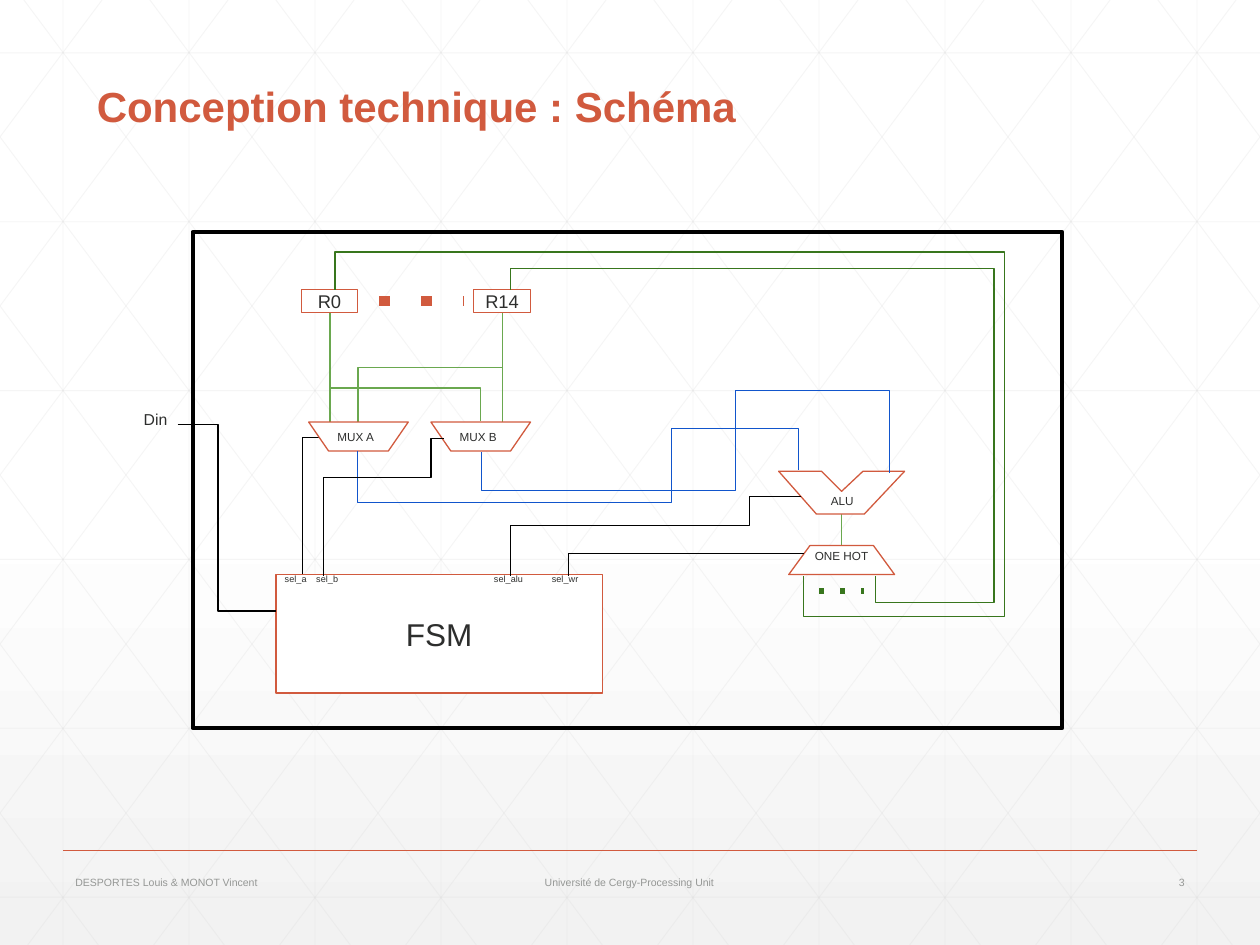
"""Build the processor schematic slide."""
from lxml import etree
from pptx import Presentation
from pptx import util as u
from pptx.dml.color import RGBColor
from pptx.enum import shapes, text
from pptx.oxml.ns import qn

RED, INK, GREY, BLACK, WHITE = "D15A3E", "2D2E2D", "959795", "000000", "FFFFFF"
LEAF, FOREST, BLUE, MESH = "6AA84F", "38761D", "1155CC", "D9D9D9"
SANS = "Arial"


def paint(fill, colour):
    fill.solid()
    fill.fore_color.rgb = RGBColor.from_string(colour)


def inches(*values):
    return [u.Cm(2.54 * value) for value in values]


deck = Presentation()
deck.slide_width, deck.slide_height = inches(10, 7.5)
slide = deck.slides.add_slide(deck.slide_layouts[6])
parts = slide.shapes

backdrop = slide.background.fill
backdrop.gradient()
backdrop.gradient_angle = 270
for stop, (position, colour) in zip(backdrop.gradient_stops, [(0.53, WHITE), (1, "F2F2F2")]):
    stop.position = position
    stop.color.rgb = RGBColor.from_string(colour)

mesh = [(i + 0.5, 0, i + 0.5, 7.5) for i in range(10)]
mesh += [(0, 0.42 + 1.34 * i, 10, 0.42 + 1.34 * i) for i in range(6)]
run, slope = 5.59, 7.5 / 5.59
for i in range(-5, 10):
    top = i + 0.19
    left, right = max(top, 0), min(top + run, 10)
    high, low = (left - top) * slope, (right - top) * slope
    mesh += [(left, high, right, low), (10 - left, high, 10 - right, low)]

links = [(ends, MESH, 0.5, {"alpha": 25}) for ends in mesh]
links += [
    ((0.5, 6.75, 9.5, 6.75), RED, 1, {}),
    ((2.62, 2.48, 2.62, 3.35), LEAF, 0.75, {}),
    ((3.99, 2.48, 3.99, 3.35), LEAF, 0.75, {}),
    ((6.68, 4.33, 6.68, 4.08), LEAF, 0.75, {}),
    ((2.98, 2.34, 3.85, 3.49), LEAF, 0.75, {"bend": "bentConnector3", "turn": 90, "adj": 50000}),
    ((3.65, 2.31, 2.78, 3.51), LEAF, 0.75, {"bend": "bentConnector3", "turn": 270, "adj": 69400}),
    ((2.53, 3.47, 2.4, 4.57), BLACK, 0.75, {"bend": "bentConnector2", "turn": 0}),
    ((3.01, 2.39, 3.68, 2.39), RED, 6, {"dash": "dot"}),
    ((6.5, 4.69, 6.86, 4.69), FOREST, 3, {"dash": "dot"}),
]
for ends, colour, width, extra in links:
    kind = shapes.MSO_CONNECTOR.ELBOW if "bend" in extra else shapes.MSO_CONNECTOR.STRAIGHT
    link = parts.add_connector(kind, *inches(*ends))
    link.line.width = u.Pt(width)
    paint(link.line.fill, colour)
    props = link.element.spPr
    stroke = props.find(qn("a:ln"))
    if "alpha" in extra:
        tint = stroke.find(".//" + qn("a:srgbClr"))
        etree.SubElement(tint, qn("a:alpha"), val=str(extra["alpha"] * 1000))
    if "dash" in extra:
        etree.SubElement(stroke, qn("a:prstDash"), val=extra["dash"])
    if "bend" in extra:
        props.find(qn("a:xfrm")).set("rot", str(extra["turn"] * 60000))
        bend = props.find(qn("a:prstGeom"))
        bend.set("prst", extra["bend"])
        if "adj" in extra:
            etree.SubElement(bend.find(qn("a:avLst")), qn("a:gd"),
                             name="adj1", fmla=f"val {extra['adj']}")
    etree.SubElement(props, qn("a:effectLst"))

RECT, MUX = shapes.MSO_SHAPE.RECTANGLE, shapes.MSO_SHAPE.FLOWCHART_MANUAL_OPERATION
LEFT, CENTER, RIGHT = text.PP_ALIGN.LEFT, text.PP_ALIGN.CENTER, text.PP_ALIGN.RIGHT
TOP, MIDDLE, BOTTOM = text.MSO_ANCHOR.TOP, text.MSO_ANCHOR.MIDDLE, text.MSO_ANCHOR.BOTTOM
TIGHT, FOOT, WIDE = (0.07, 0.07), (0.07, 0.04), (0.1, 0.05)

captions = []
blocks = [
    (RECT, (1.53, 1.84, 6.9, 3.94), BLACK, 2.25, None, 0, "", 0, LEFT),
    (RECT, (2.39, 2.3, 0.45, 0.18), RED, 0.75, WHITE, 0, "R0", 10.5, CENTER),
    (RECT, (3.76, 2.3, 0.45, 0.18), RED, 0.75, WHITE, 0, "R14", 10.5, CENTER),
    (MUX, (2.45, 3.35, 0.79, 0.23), RED, 0.75, WHITE, 0, "MUX A", 6.75, LEFT),
    (MUX, (3.42, 3.35, 0.79, 0.23), RED, 0.75, WHITE, 0, "MUX B", 6.75, LEFT),
    (RECT, (2.19, 4.56, 2.59, 0.94), RED, 0.75, WHITE, 0, "FSM", 18, CENTER),
    (MUX, (6.26, 4.33, 0.84, 0.23), RED, 0.75, WHITE, 180, "", 0, LEFT),
]
for kind, box, edge, width, inside, turn, words, size, align in blocks:
    block = parts.add_shape(kind, *inches(*box))
    block.shadow.inherit = False
    block.rotation = turn
    block.line.width = u.Pt(width)
    paint(block.line.fill, edge)
    if inside:
        paint(block.fill, inside)
    else:
        block.fill.background()
    if words:
        captions.append((block, words, size, align, MIDDLE, TIGHT, INK, False))

alu = [(6.18, 3.74), (6.52, 3.74), (6.68, 3.9), (6.85, 3.74), (7.18, 3.74), (6.86, 4.08), (6.48, 4.08)]
wires = [
    (alu, RED, WHITE),
    ([(2.66, 2.3), (2.66, 2), (7.97, 2), (7.97, 4.89), (6.38, 4.89), (6.38, 4.57)], FOREST, None),
    ([(6.95, 4.57), (6.95, 4.78), (7.89, 4.78), (7.89, 2.13), (4.05, 2.13), (4.05, 2.3)], FOREST, None),
    ([(2.84, 3.58), (2.84, 3.99), (5.33, 3.99), (5.33, 3.4), (6.34, 3.4), (6.34, 3.73)], BLUE, None),
    ([(3.82, 3.59), (3.82, 3.89), (5.84, 3.89), (5.84, 3.1), (7.06, 3.1), (7.06, 3.75)], BLUE, None),
    ([(4.05, 4.57), (4.05, 4.17), (5.95, 4.17), (5.95, 3.94), (6.36, 3.94)], BLACK, None),
    ([(2.57, 4.57), (2.57, 3.79), (3.42, 3.79), (3.42, 3.48), (3.52, 3.48)], BLACK, None),
    ([(4.51, 4.57), (4.51, 4.39), (6.38, 4.39)], BLACK, None),
    ([(1.41, 3.37), (1.73, 3.37), (1.73, 4.85), (2.19, 4.85)], BLACK, None),
]
for corners, colour, inside in wires:
    start, *others = [inches(*corner) for corner in corners]
    outline = parts.build_freeform(*start)
    outline.add_line_segments(others, close=bool(inside))
    wire = outline.convert_to_shape()
    wire.shadow.inherit = False
    wire.line.width = u.Pt(0.75)
    paint(wire.line.fill, colour)
    if inside:
        paint(wire.fill, inside)
    else:
        wire.fill.background()

labels = [
    ((0.67, 0.38, 8.66, 0.71), "Conception technique : Schéma", 24, LEFT, BOTTOM, WIDE, RED, True),
    ((0.5, 6.88, 1.73, 0.24), "DESPORTES Louis & MONOT Vincent", 6, LEFT, MIDDLE, WIDE, GREY, False),
    ((4.13, 6.88, 1.73, 0.24), "Université de Cergy-Processing Unit", 6, CENTER, MIDDLE, FOOT, GREY, False),
    ((8.75, 6.88, 0.75, 0.24), "3", 6, RIGHT, MIDDLE, WIDE, GREY, False),
    ((2.19, 4.51, 0.33, 0.18), "sel_a", 5.25, LEFT, TOP, TIGHT, INK, False),
    ((2.44, 4.51, 0.33, 0.18), "sel_b", 5.25, LEFT, TOP, TIGHT, INK, False),
    ((3.85, 4.51, 0.45, 0.18), "sel_alu", 5.25, LEFT, TOP, TIGHT, INK, False),
    ((4.31, 4.51, 0.4, 0.18), "sel_wr", 5.25, LEFT, TOP, TIGHT, INK, False),
    ((6.46, 3.86, 0.45, 0.18), "ALU", 6.75, CENTER, TOP, TIGHT, INK, False),
    ((6.26, 4.3, 0.84, 0.18), "ONE HOT", 6.75, CENTER, TOP, TIGHT, INK, False),
    ((1.07, 3.18, 0.45, 0.24), "Din", 9, LEFT, TOP, TIGHT, INK, False),
]
captions += [(parts.add_textbox(*inches(*box)), *rest) for box, *rest in labels]
for holder, words, size, align, anchor, (side, edge), colour, bold in captions:
    frame = holder.text_frame
    across, down = inches(side, edge)
    layout = {"word_wrap": True, "vertical_anchor": anchor, "margin_left": across,
              "margin_right": across, "margin_top": down, "margin_bottom": down}
    for key, value in layout.items():
        setattr(frame, key, value)
    line = frame.paragraphs[0]
    line.alignment = align
    if bold:
        line.line_spacing = 0.9
    run_of_text = line.add_run()
    run_of_text.text = words
    for key, value in {"name": SANS, "size": u.Pt(size), "bold": bold}.items():
        setattr(run_of_text.font, key, value)
    paint(run_of_text.font.fill, colour)

deck.save("out.pptx")
